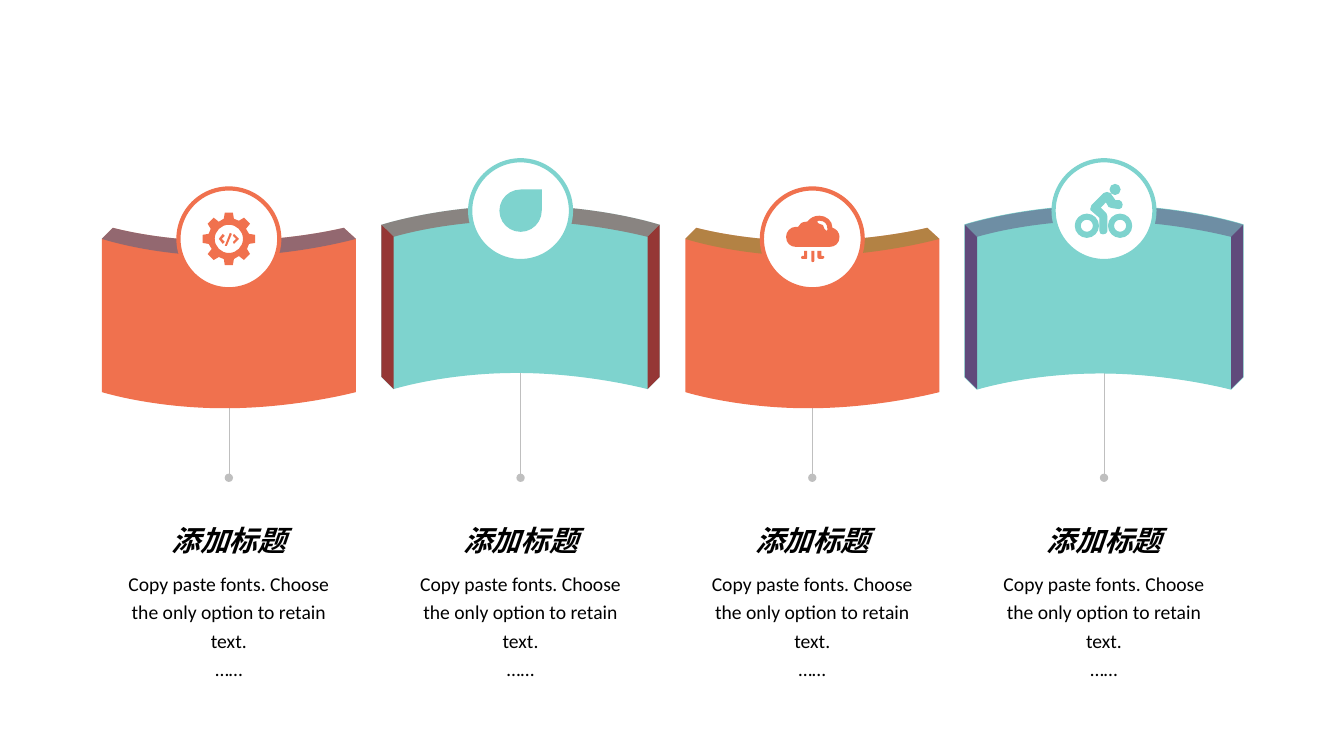
from dataclasses import dataclass

from lxml.etree import SubElement
from pptx import Presentation
from pptx.dml.color import RGBColor
from pptx.enum.shapes import MSO_CONNECTOR, MSO_SHAPE
from pptx.enum.text import MSO_ANCHOR, PP_ALIGN
from pptx.oxml.ns import qn
from pptx.util import Inches, Pt

HEADING = "添加标题"
BODY = ["Copy paste fonts. Choose the only option to retain text.", "……"]
COLUMNS = [
    {"form": "dipped", "shade": "376092", "icon": "gear", "outline": 0},
    {"form": "arched", "shade": "953735", "icon": "fruit", "outline": 0},
    {"form": "dipped", "shade": "77933C", "icon": "cloud", "outline": 0},
    {"form": "arched", "shade": "604A7B", "icon": "cyclist", "outline": 0.75},
]


@dataclass(frozen=True)
class Theme:
    dipped: str = "F0714E"
    arched: str = "7ED3CE"
    badge: str = "FFFFFF"
    stem: str = "BFBFBF"
    text: str = "000000"
    font: str = "Calibri"
    heading_size: float = 20.4
    body_size: float = 14
    stem_width: float = 0.25
    ring_width: float = 3


THEME = Theme()
WIDTH, HEIGHT = 13.33, 7.5
FIRST_CENTER, LAST_CENTER = 2.27, 10.95
STEP = (LAST_CENTER - FIRST_CENTER) / (len(COLUMNS) - 1)
BADGE_MIDDLE = {"dipped": 2.37, "arched": 2.09}
BADGE_SIZE = 1
STEM_FOOT, STEM_TOP = 4.74, 3.67
TEXT_WIDTH = 2.27
HEADING_TOP, HEADING_HEIGHT = 5.12, 0.46
BODY_HEIGHT = 0.78
FRUIT_SIZE = 0.42
UNITS_PER_INCH = 1000
ROUNDNESS = 0.55

DIPPED_TOP = "M 114 -11 C 93 -6 47 2 -4 2 C -55 2 -96 -6 -115 -11 L -126 0 "
ARCHED_TOP = "M 138 14 C 138 14 80 -5 0 -5 C -80 -5 -138 14 -138 14 "
PANELS = {
    "dipped": {
        "front": DIPPED_TOP + "L -126 152 C -126 152 -75 168 -4 168 "
                 "C 66 168 126 152 126 152 L 126 0",
        "rim": DIPPED_TOP + "C -126 0 -75 17 -4 17 C 66 17 126 0 126 0",
        "sides": [],
    },
    "arched": {
        "front": ARCHED_TOP + "L -138 165 L -126 177 C -126 177 -75 161 -4 161 "
                 "C 66 161 126 177 126 177 L 138 165",
        "rim": ARCHED_TOP + "L -126 26 C -126 26 -75 10 -4 10 "
               "C 66 10 126 26 126 26",
        "sides": [f"M {sign * 126} 177 L {sign * 138} 165 "
                  f"L {sign * 138} 14 L {sign * 126} 26" for sign in (-1, 1)],
    },
}
CLOUD = (
    "M 5 12 L 9 12 L 9 17 L 10 17 C 11 17 12 17 12 18 C 12 19 11 20 10 20 "
    "L 7 20 C 6 20 5 19 5 18 "
    "M -1 12 L 2 12 L 2 22 C 2 23 1 23 0 23 C -1 23 -1 23 -1 22 "
    "M -8 12 L -5 12 L -5 18 C -5 19 -5 20 -6 20 L -10 20 "
    "C -11 20 -11 19 -11 18 C -11 17 -11 17 -10 17 L -8 17 "
    "M 7 -18 C 6 -18 5 -18 5 -17 C 5 -16 6 -15 7 -15 C 10 -15 12 -13 12 -10 "
    "C 12 -9 13 -8 14 -8 C 15 -8 15 -9 15 -10 C 15 -15 12 -18 7 -18 "
    "M 7 -23 C 14 -23 20 -18 20 -11 C 24 -10 27 -6 27 -2 C 27 4 23 8 17 8 "
    "L -16 8 C -22 8 -26 4 -26 -2 C -26 -7 -22 -12 -16 -12 L -14 -12 "
    "C -13 -15 -10 -17 -6 -17 L -5 -17 C -2 -21 2 -23 7 -23 "
)
CODE_SIGN = (
    "M 5 -5 L 10 0 L 5 5 L 4 3 L 7 0 L 4 -3 "
    "M -6 -5 L -4 -3 L -7 0 L -4 3 L -6 5 L -10 0 "
    "M 1 -6 L 3 -5 L -2 7 L -4 7 "
)
RIDER = (
    "M 3 -18 C 4 -18 5 -17 6 -17 L 11 -10 L 15 -10 C 17 -9 18 -8 18 -6 "
    "C 18 -4 17 -2 15 -2 L 8 -3 C 7 -3 6 -3 5 -4 L 2 -9 L -4 -3 L 2 3 "
    "C 3 4 3 5 3 6 L 3 20 C 3 22 1 23 -1 23 C -3 23 -4 22 -4 20 L -4 7 "
    "L -12 0 C -13 0 -13 -1 -13 -2 C -13 -3 -13 -4 -12 -5 L 0 -17 "
    "C 1 -18 2 -18 3 -18 "
)
GEAR_QUARTER = [(-4, -26), (4, -26), (5, -20), (10, -18),
                (15, -21), (21, -15), (17, -10), (20, -5)]


def circle(x, y, radius):
    drawing, bend = f"M {x + radius} {y} ", radius * ROUNDNESS
    across, down = 1, 0
    for _ in range(4):
        next_across, next_down = -down, across
        points = [
            (across * radius + next_across * bend, down * radius + next_down * bend),
            (next_across * radius + across * bend, next_down * radius + down * bend),
            (next_across * radius, next_down * radius),
        ]
        drawing += "C " + "".join(f"{x + dx} {y + dy} " for dx, dy in points)
        across, down = next_across, next_down
    return drawing


def gear():
    teeth, quarter = [], GEAR_QUARTER
    for _ in range(4):
        teeth += quarter
        quarter = [(-y, x) for x, y in quarter]
    rim = "M " + "L ".join(f"{x} {y} " for x, y in teeth)
    return CODE_SIGN + circle(0, 0, 14) + rim


def cyclist():
    wheels = "".join(circle(x, 15, radius) for x in (16, -17) for radius in (6.5, 11.5))
    return wheels + RIDER + circle(11, -21, 5)


ICONS = {"gear": gear(), "cloud": CLOUD, "cyclist": cyclist()}


def paint(shape, color, line_color=None, line_width=0, opacity=None):
    shape.shadow.inherit = False
    shape.fill.solid()
    shape.fill.fore_color.rgb = RGBColor.from_string(color)
    if opacity:
        color_element = shape.fill._xPr.find(qn("a:solidFill"))[0]
        SubElement(color_element, qn("a:alpha"), val=str(opacity * 1000))
    if line_width:
        shape.line.color.rgb = RGBColor.from_string(line_color)
        shape.line.width = Pt(line_width)
    else:
        shape.line.fill.background()


def bend_curves(shape, kinds):
    segments = iter(list(shape._element.iter(qn("a:lnTo"))))
    for kind in kinds:
        segment = next(segments)
        if kind == "C":
            segment.tag = qn("a:cubicBezTo")
            for _ in range(2):
                extra = next(segments)
                segment.append(extra[0])
                extra.getparent().remove(extra)


def add_outline(page, drawing, center, middle):
    contours, kinds = [], []
    for letter in "MLC":
        drawing = drawing.replace(letter, "|" + letter)
    for command in drawing.split("|")[1:]:
        kind, *numbers = command.split()
        values = [float(number) * 10 for number in numbers]
        points = list(zip(values[::2], values[1::2]))
        if kind == "M":
            contours.append(points)
        else:
            contours[-1] += points
            kinds.append(kind)
    builder = page.shapes.build_freeform(*contours[0][0], scale=Inches(1) / UNITS_PER_INCH)
    for index, contour in enumerate(contours):
        if index:
            builder.move_to(*contour[0])
        builder.add_line_segments(contour[1:], close=True)
    shape = builder.convert_to_shape(Inches(center), Inches(middle))
    bend_curves(shape, kinds)
    return shape


def add_stem(page, center):
    stem = page.shapes.add_connector(MSO_CONNECTOR.STRAIGHT, Inches(center), Inches(STEM_FOOT),
                                     Inches(center), Inches(STEM_TOP))
    stem.line.color.rgb = RGBColor.from_string(THEME.stem)
    stem.line.width = Pt(THEME.stem_width)
    SubElement(stem.line._get_or_add_ln(), qn("a:headEnd"), type="oval")
    SubElement(stem._element.spPr, qn("a:effectLst"))


def add_centered(page, shape_kind, center, middle, size):
    return page.shapes.add_shape(shape_kind, Inches(center - size / 2),
                                 Inches(middle - size / 2), Inches(size), Inches(size))


def add_panel(page, column, center):
    form, shade = column["form"], column["shade"]
    color, middle, panel = getattr(THEME, form), BADGE_MIDDLE[form], PANELS[form]
    paint(add_outline(page, panel["front"], center, middle), color, color, column["outline"])
    paint(add_outline(page, panel["rim"], center, middle), shade, opacity=50)
    for side in panel["sides"]:
        paint(add_outline(page, side, center, middle), shade)
    badge = add_centered(page, MSO_SHAPE.OVAL, center, middle, BADGE_SIZE)
    paint(badge, THEME.badge, color, THEME.ring_width)
    if column["icon"] in ICONS:
        icon = add_outline(page, ICONS[column["icon"]], center, middle)
    else:
        icon = add_centered(page, MSO_SHAPE.TEAR, center, middle, FRUIT_SIZE)
    paint(icon, color, color, column["outline"])


def add_text(page, lines, center, top, height, size, strong=False):
    box = page.shapes.add_textbox(Inches(center - TEXT_WIDTH / 2), Inches(top),
                                  Inches(TEXT_WIDTH), Inches(height))
    frame = box.text_frame
    frame.word_wrap = True
    frame.vertical_anchor = MSO_ANCHOR.BOTTOM if strong else MSO_ANCHOR.TOP
    for index, line in enumerate(lines):
        para = frame.add_paragraph() if index else frame.paragraphs[0]
        para.alignment = PP_ALIGN.CENTER
        para.line_spacing = 1.0 if strong else 1.2
        span = para.add_run()
        span.text = line
        span.font.name, span.font.size = THEME.font, Pt(size)
        span.font.bold = span.font.italic = strong
        span.font.color.rgb = RGBColor.from_string(THEME.text)


def main():
    deck = Presentation()
    deck.slide_width, deck.slide_height = Inches(WIDTH), Inches(HEIGHT)
    page = deck.slides.add_slide(deck.slide_layouts[6])
    for index, column in enumerate(COLUMNS):
        center = FIRST_CENTER + index * STEP
        add_stem(page, center)
        add_panel(page, column, center)
        add_text(page, [HEADING], center, HEADING_TOP, HEADING_HEIGHT, THEME.heading_size, True)
        add_text(page, BODY, center, HEADING_TOP + HEADING_HEIGHT, BODY_HEIGHT, THEME.body_size)
    deck.save("out.pptx")


if __name__ == "__main__":
    main()
